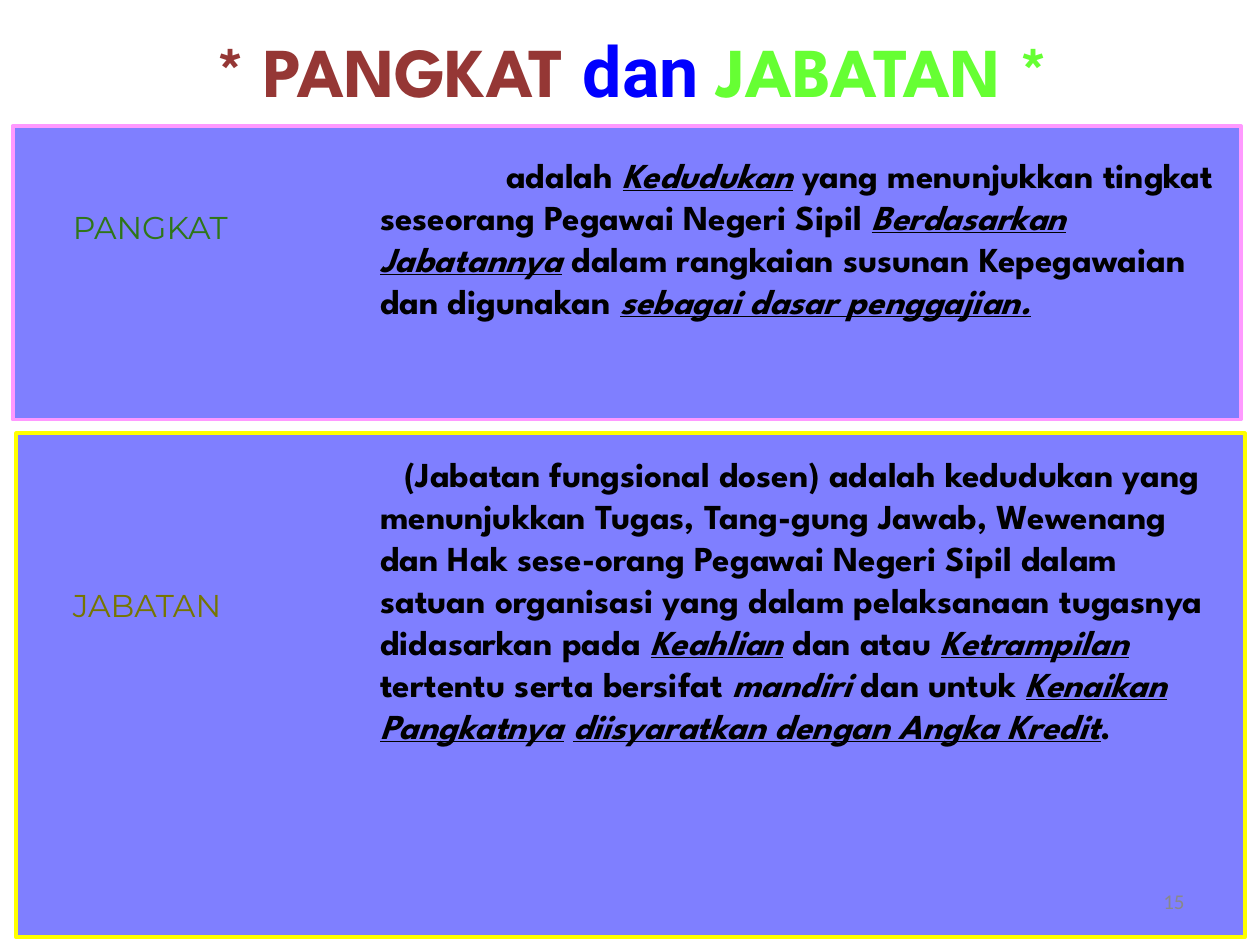
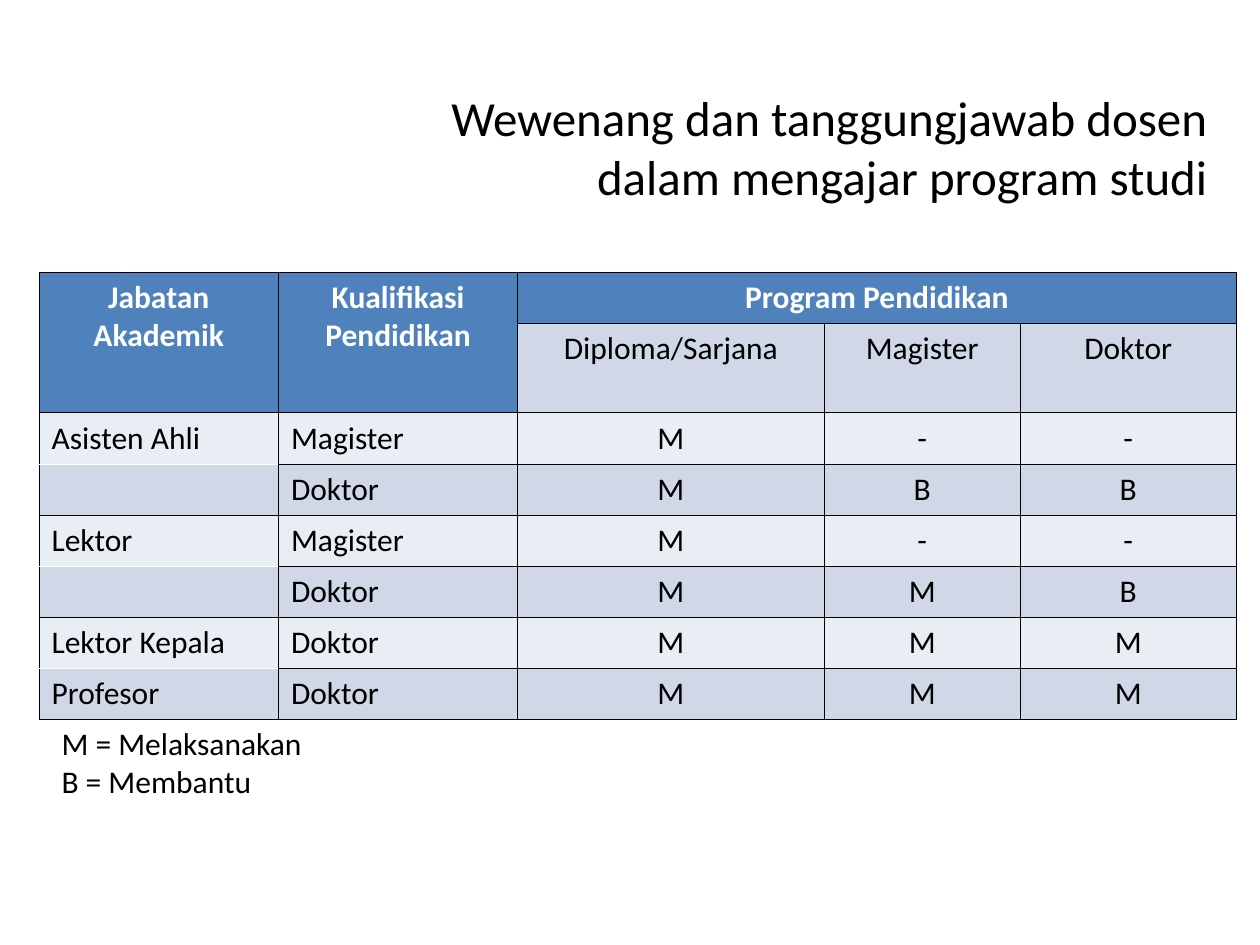
"""Build two slides on lecturer rank, office and teaching duties."""
from dataclasses import dataclass

from lxml.etree import SubElement as Sub
from pptx import Presentation
from pptx.dml.color import RGBColor as Rgb
from pptx.enum.shapes import MSO_SHAPE as Shape
from pptx.enum.text import MSO_ANCHOR as Anchor, PP_ALIGN as Align
from pptx.oxml import parse_xml
from pptx.oxml.ns import nsdecls, qn
from pptx.util import Inches, Pt


@dataclass(frozen=True)
class Theme:
    black: str = "000000"
    white: str = "FFFFFF"
    blue: str = "0000FF"
    brown: str = "953735"
    lime: str = "66FF33"
    green: str = "2F7618"
    pink: str = "FF99FF"
    yellow: str = "FFFF00"
    olive: str = "767600"
    gray: str = "898989"
    head: str = "4F81BD"
    bands: tuple = ("E9EDF4", "D0D8E8")
    plain: str = "Calibri"
    heavy: str = "League Spartan"
    accent: str = "Roboto"
    label: str = "Montserrat"
    banner: int = 40
    title: int = 28
    body: int = 20
    text: int = 18
    small: int = 12
    edge: float = 2.25
    rule: float = 0.45


class Deck:
    """Holds the style and the current slide."""

    def __init__(self, theme):
        self.theme = theme
        self.file = Presentation()
        self.file.slide_width, self.file.slide_height = Inches(10), Inches(7.5)
        self.slide = None

    def start(self):
        self.slide = self.file.slides.add_slide(self.file.slide_layouts[5])

    def style(self, run, size, face=None, color=None, marks=""):
        font = run.font
        font.size, font.name = Pt(size), face or self.theme.plain
        font.color.rgb = Rgb.from_string(color or self.theme.black)
        font.bold = "b" in marks
        font.italic, font.underline = "i" in marks, "u" in marks

    def title(self, spot, text, align, anchor):
        shape = self.slide.shapes.title
        shape.left, shape.top, shape.width, shape.height = map(Inches, spot)
        frame = shape.text_frame
        frame.text, frame.vertical_anchor = text, anchor
        frame.paragraphs[0].alignment = align
        for run in frame.paragraphs[0].runs:
            self.style(run, self.theme.title)
        return frame.paragraphs[0]

    def runs(self, para, size, parts):
        for text, face, color, marks in parts:
            run = para.add_run()
            run.text = text
            self.style(run, size, face, color, marks)

    def box(self, spot, text="", size=None, color=None, align=Align.LEFT,
            anchor=Anchor.TOP, host=None):
        shapes = (host or self.slide).shapes
        frame = shapes.add_textbox(*map(Inches, spot)).text_frame
        frame.word_wrap, frame.vertical_anchor = True, anchor
        frame.text = text
        for para in frame.paragraphs:
            para.alignment = align
            for run in para.runs:
                self.style(run, size or self.theme.text, color=color)
        return frame

    def panel(self, host, spot, line):
        shape = host.shapes.add_shape(Shape.RECTANGLE, *map(Inches, spot))
        shape.shadow.inherit = False
        shape.fill.solid()
        shape.fill.fore_color.rgb = Rgb.from_string(self.theme.blue)
        tint = shape.fill._xPr.find(qn("a:solidFill"))[0]
        Sub(tint, qn("a:alpha"), val="50000")
        shape.line.color.rgb = Rgb.from_string(line)
        shape.line.width = Pt(self.theme.edge)

    def label(self, host, spot, text, light, dark):
        frame = self.box(spot, text, host=host)
        frame.word_wrap = False
        run = frame.paragraphs[0].runs[0]
        run.font.name = self.theme.label
        props = run.font._element
        props.remove(props.find(qn("a:solidFill")))
        stops = "".join(
            f'<a:gs pos="{pos}"><a:srgbClr val="{color}"/></a:gs>'
            for pos, color in ((0, light), (50000, dark), (100000, light)))
        props.insert(0, parse_xml(
            f'<a:gradFill {nsdecls("a")}><a:gsLst>{stops}</a:gsLst>'
            '<a:lin ang="5400000" scaled="1"/></a:gradFill>'))
        props.insert(0, self.stroke("ln", self.theme.black, 0.75))

    def stroke(self, tag, color, width):
        return parse_xml(
            f'<a:{tag} {nsdecls("a")} w="{Pt(width)}"><a:solidFill>'
            f'<a:srgbClr val="{color}"/></a:solidFill></a:{tag}>')

    def prose(self, host, spot, first, parts):
        para = self.box(spot, host=host).paragraphs[0]
        props = para._p.get_or_add_pPr()
        props.set("marL", str(Inches(2.75)))
        props.set("indent", str(Inches(first)))
        self.runs(para, self.theme.body, [
            (text, self.theme.heavy, self.theme.black, "b" + marks)
            for text, marks in parts])

    def cell(self, cell, text, fill, color, marks, align, white=""):
        props = cell._tc.get_or_add_tcPr()
        for side in "LRTB":
            tint = self.theme.white if side == white else self.theme.black
            props.append(self.stroke("ln" + side, tint, self.theme.rule))
        cell.fill.solid()
        cell.fill.fore_color.rgb = Rgb.from_string(fill)
        cell.text = text
        para = cell.text_frame.paragraphs[0]
        para.alignment = align
        for run in para.runs:
            self.style(run, self.theme.text, color=color, marks=marks)

    def table(self, spot, cols, tall, rows, spans):
        look = self.theme
        grid = self.slide.shapes.add_table(
            len(rows), len(cols), *map(Inches, spot)).table
        for col, width in zip(grid.columns, cols):
            col.width = Inches(width)
        for row, height in zip(grid.rows, tall):
            row.height = Inches(height)
        for y, row in enumerate(rows):
            for x, text in enumerate(row):
                head = y == 0 or y == 1 and x < 2
                white = "BT"[y % 2] if x == 0 and y > 1 else ""
                self.cell(
                    grid.cell(y, x), text,
                    look.head if head else look.bands[y % 2],
                    look.white if head else look.black,
                    "b" if head else "",
                    Align.CENTER if head or x > 1 else Align.LEFT, white)
        for start, end in spans:
            grid.cell(*start).merge(grid.cell(*end))


def ranks(deck):
    look = deck.theme
    deck.start()
    para = deck.title((-0.02, 0.17, 10.08, 0.77), "", Align.CENTER, Anchor.TOP)
    deck.runs(para, look.banner, [
        ("* PANGKAT ", look.heavy, look.brown, "b"),
        ("dan ", look.accent, look.blue, "b"),
        ("JABATAN *", look.heavy, look.lime, "b")])

    rank = deck.slide.shapes.add_group_shape()
    deck.panel(rank, (0.1, 1, 9.75, 2.33), look.pink)
    deck.prose(rank, (0.17, 1.17, 9.67, 1.77), 1, [
        ("adalah ", ""), ("Kedudukan", "iu"),
        (" yang menunjukkan tingkat seseorang Pegawai Negeri Sipil ", ""),
        ("Berdasarkan Jabatannya", "iu"),
        (" dalam rangkaian susunan Kepegawaian dan digunakan ", ""),
        ("sebagai dasar penggajian.", "iu")])
    deck.label(rank, (0.48, 1.6, 2.25, 1.17), "PANGKAT", look.lime, look.green)

    post = deck.slide.shapes.add_group_shape()
    deck.panel(post, (0.13, 3.44, 9.75, 4), look.yellow)
    deck.prose(post, (0.17, 3.54, 9.67, 2.77), 0.19, [
        ("(Jabatan fungsional dosen) adalah kedudukan yang menunjukkan "
         "Tugas, Tang-gung Jawab, Wewenang dan Hak sese-orang Pegawai Negeri "
         "Sipil dalam satuan organisasi yang dalam pelaksanaan tugasnya "
         "didasarkan pada ", ""),
        ("Keahlian", "iu"), (" dan atau ", ""), ("Ketrampilan ", "iu"),
        ("tertentu serta bersifat ", ""), ("mandiri ", "i"),
        ("dan untuk ", ""), ("Kenaikan Pangkatnya", "iu"), (" ", ""),
        ("diisyaratkan dengan Angka Kredit", "iu"), (".", "")])
    deck.label(post, (0.48, 4.6, 2.25, 1.33), "JABATAN",
               look.yellow, look.olive)
    deck.box((7.17, 6.95, 2.33, 0.4), "15", look.small, look.gray,
             Align.RIGHT, Anchor.MIDDLE)


def duties(deck):
    deck.start()
    deck.title((0.33, 0.7, 9.35, 0.92),
               "Wewenang dan tanggungjawab dosen\vdalam mengajar program studi",
               Align.RIGHT, Anchor.MIDDLE)
    rows = [
        ("Jabatan Akademik", "Kualifikasi Pendidikan", "Program Pendidikan",
         "", ""),
        ("", "", "Diploma/Sarjana", "Magister", "Doktor"),
        ("Asisten Ahli", "Magister", "M", "-", "-"),
        ("", "Doktor", "M", "B", "B"),
        ("Lektor", "Magister", "M", "-", "-"),
        ("", "Doktor", "M", "M", "B"),
        ("Lektor Kepala", "Doktor", "M", "M", "M"),
        ("Profesor", "Doktor", "M", "M", "M")]
    deck.table((0.31, 2.16, 9.5, 3.5), (1.9, 1.9, 2.43, 1.56, 1.71),
               [0.4, 0.7] + [0.4] * 6, rows,
               [((0, 0), (1, 0)), ((0, 1), (1, 1)), ((0, 2), (0, 4))])
    deck.box((0.39, 5.7, 3.2, 0.7), "M = Melaksanakan\nB = Membantu")


def main():
    deck = Deck(Theme())
    ranks(deck)
    duties(deck)
    deck.file.save("out.pptx")


if __name__ == "__main__":
    main()
